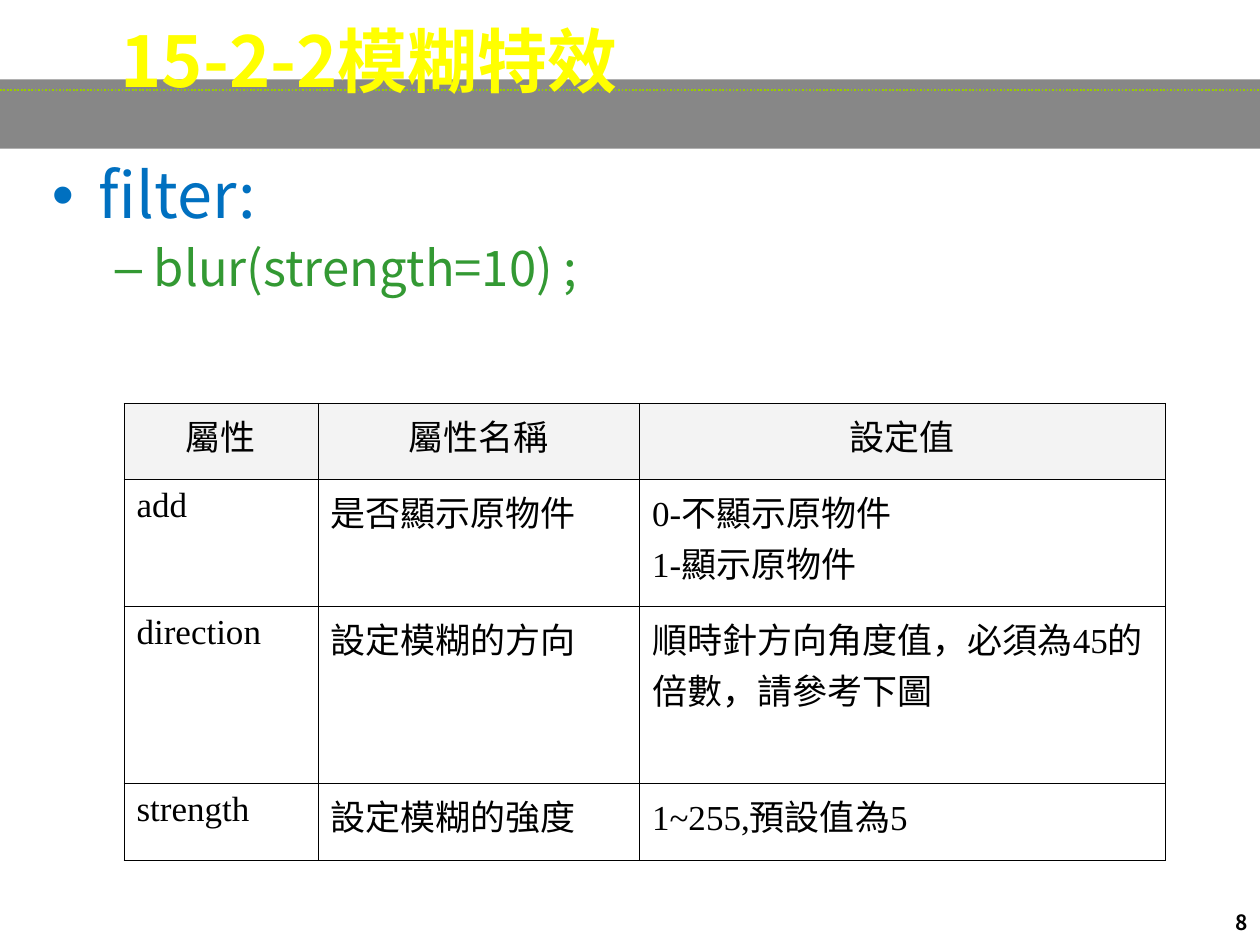
from dataclasses import dataclass

from lxml import etree
from pptx import Presentation
from pptx.dml.color import RGBColor
from pptx.enum import dml, shapes, text
from pptx.oxml import ns
from pptx.util import Cm, Pt


@dataclass(frozen=True)
class Theme:
    sans: str = "Noto Sans CJK SC"
    serif: str = "Times New Roman"
    ink: str = "000000"
    band: str = "111111"
    rule: str = "99CC00"
    heading: str = "FFFF00"
    filter: str = "0070C0"
    function: str = "339933"
    header: str = "F3F3F3"
    heading_size: int = 40
    filter_size: int = 36
    function_size: int = 28
    cell_size: int = 20
    number_size: int = 12


def child(parent, tag, **attributes):
    return etree.SubElement(parent, ns.qn(tag), attributes)


class SlideBuilder:
    def __init__(self, slide, theme):
        self.slide = slide
        self.theme = theme

    def place(self, shape, left, top, width, height):
        shape.left, shape.top = Cm(left), Cm(top)
        shape.width, shape.height = Cm(width), Cm(height)

    def send_back(self, shape, depth):
        self.slide.shapes._spTree.insert(2 + depth, shape._element)

    def add_words(self, paragraph, words, size, color, latin=None, bold=False):
        run = paragraph.add_run()
        run.text = words
        run.font.size = Pt(size)
        run.font.bold = bold
        run.font.color.rgb = RGBColor.from_string(color)
        run.font.name = latin or self.theme.sans
        child(run._r.get_or_add_rPr(), "a:ea", typeface=self.theme.sans)

    def indent(self, paragraph, left, first):
        properties = paragraph._p.get_or_add_pPr()
        properties.set("marL", str(Cm(left)))
        properties.set("indent", str(Cm(first)))
        return properties

    def band(self, top, height):
        band = self.slide.shapes.add_shape(
            shapes.MSO_SHAPE.RECTANGLE, 0, Cm(top), Cm(25.4), Cm(height))
        band.shadow.inherit = False
        band.line.fill.background()
        band.fill.solid()
        band.fill.fore_color.rgb = RGBColor.from_string(self.theme.band)
        color = band._element.spPr.find(".//" + ns.qn("a:srgbClr"))
        child(color, "a:alpha", val="50000")
        self.send_back(band, 0)

    def rule(self, top):
        rule = self.slide.shapes.add_connector(
            shapes.MSO_CONNECTOR.STRAIGHT, 0, Cm(top), Cm(25.4), Cm(top))
        rule.line.color.rgb = RGBColor.from_string(self.theme.rule)
        rule.line.width = Pt(1)
        rule.line.dash_style = dml.MSO_LINE.ROUND_DOT
        child(rule._element.spPr, "a:effectLst")
        self.send_back(rule, 1)

    def number(self, words, *box):
        number = self.slide.shapes.add_textbox(0, 0, 0, 0)
        self.place(number, *box)
        number.text_frame.word_wrap = True
        paragraph = number.text_frame.paragraphs[0]
        paragraph.alignment = text.PP_ALIGN.RIGHT
        self.add_words(paragraph, words, self.theme.number_size, self.theme.ink, bold=True)
        self.send_back(number, 2)

    def title(self, words, *box):
        heading = self.slide.shapes.title
        self.place(heading, *box)
        frame = heading.text_frame
        frame.auto_size = text.MSO_AUTO_SIZE.NONE
        frame.vertical_anchor = text.MSO_ANCHOR.TOP
        paragraph = frame.paragraphs[0]
        paragraph.alignment = text.PP_ALIGN.LEFT
        paragraph.line_spacing = 0.9
        self.add_words(paragraph, words, self.theme.heading_size, self.theme.heading, bold=True)

    def outline(self, entries, *box):
        body = self.slide.placeholders[1]
        self.place(body, *box)
        frame = body.text_frame
        frame.auto_size = text.MSO_AUTO_SIZE.NONE
        for level, (words, mark, size, color, left, first, before) in enumerate(entries):
            paragraph = frame.add_paragraph() if level else frame.paragraphs[0]
            paragraph.level = level
            paragraph.line_spacing = 0.9
            paragraph.space_before = Pt(before)
            properties = self.indent(paragraph, left, first)
            child(child(properties, "a:buClr"), "a:srgbClr", val=color)
            child(properties, "a:buChar", char=mark)
            self.add_words(paragraph, words, size, color)

    def border(self, cell):
        properties = cell._tc.get_or_add_tcPr()
        for side in ("a:lnL", "a:lnR", "a:lnT", "a:lnB"):
            edge = child(properties, side, w=str(Pt(0.45)))
            child(child(edge, "a:solidFill"), "a:srgbClr", val=self.theme.ink)

    def table(self, rows, left, top, widths, heights):
        table = self.slide.shapes.add_table(
            len(rows), len(widths), Cm(left), Cm(top),
            Cm(sum(widths)), Cm(sum(heights))).table
        for column, width in zip(table.columns, widths):
            column.width = Cm(width)
        for index, (row, height, entries) in enumerate(zip(table.rows, heights, rows)):
            row.height = Cm(height)
            for cell, words in zip(row.cells, entries):
                self.border(cell)
                if index:
                    cell.fill.background()
                else:
                    cell.fill.solid()
                    cell.fill.fore_color.rgb = RGBColor.from_string(self.theme.header)
                self.fill_cell(cell, words, centred=index == 0)

    def fill_cell(self, cell, words, centred):
        frame = cell.text_frame
        for position, line in enumerate(words.split("\n")):
            paragraph = frame.add_paragraph() if position else frame.paragraphs[0]
            paragraph.alignment = text.PP_ALIGN.CENTER if centred else text.PP_ALIGN.LEFT
            self.indent(paragraph, 0.95, -0.95)
            self.add_words(paragraph, line, self.theme.cell_size, self.theme.ink, self.theme.serif)


def main():
    deck = Presentation()
    deck.slide_width, deck.slide_height = Cm(25.4), Cm(19.05)
    theme = Theme()
    page = SlideBuilder(deck.slides.add_slide(deck.slide_layouts[1]), theme)
    page.band(1.6, 1.4)
    page.rule(1.81)
    page.number("8", 19.48, 18.21, 5.92, 1.32)
    page.title("15-2-2模糊特效", 2.18, 0.41, 22.8, 2.46)
    page.outline([
        ("filter:", "•", theme.filter_size, theme.filter, 0.95, -0.95, 0),
        ("blur(strength=10) ;", "–", theme.function_size, theme.function, 2.06, -0.79, 7),
    ], 0.79, 3.18, 24, 15.09)
    page.table([
        ("屬性", "屬性名稱", "設定值"),
        ("add", "是否顯示原物件", "0-不顯示原物件\n1-顯示原物件"),
        ("direction", "設定模糊的方向", "順時針方向角度值，必須為45的\n倍數，請參考下圖"),
        ("strength", "設定模糊的強度", "1~255,預設值為5"),
    ], 2.5, 8.13, (3.91, 6.48, 10.6), (1.54, 2.56, 3.57, 1.54))
    deck.save("out.pptx")


if __name__ == "__main__":
    main()
